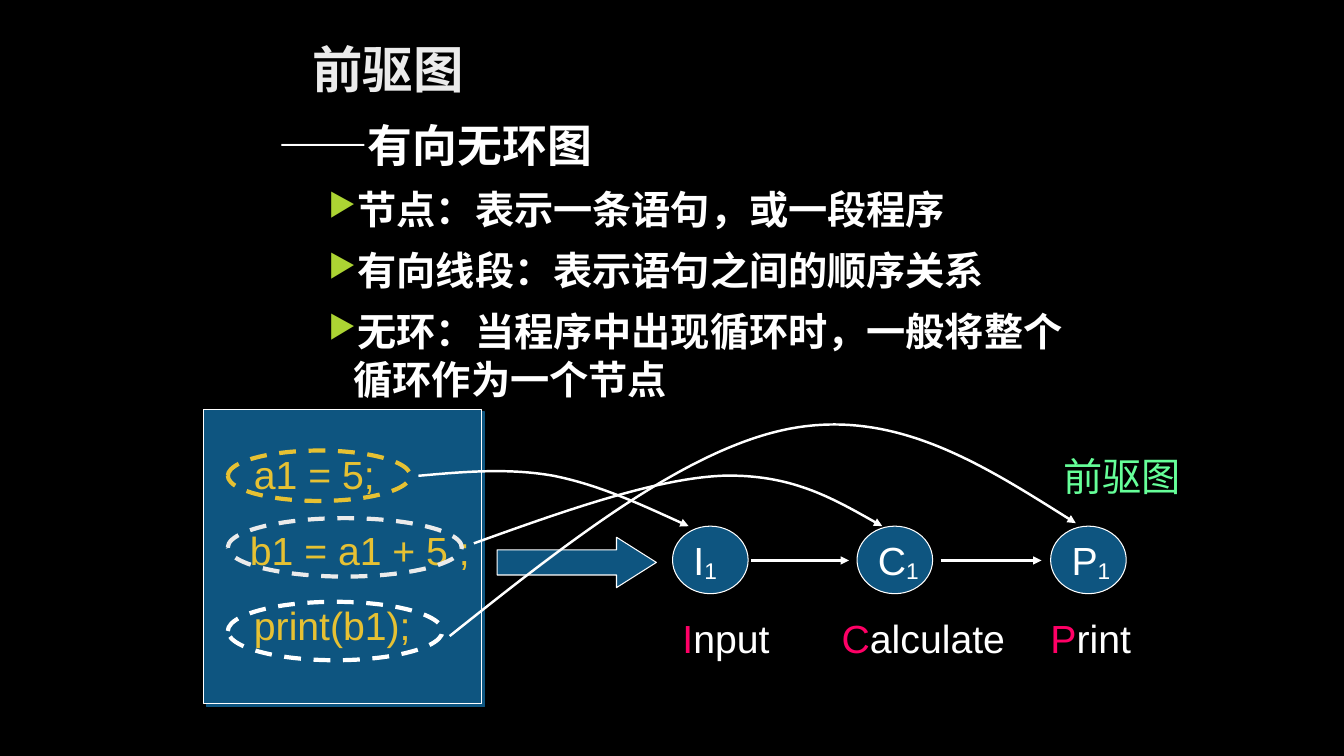
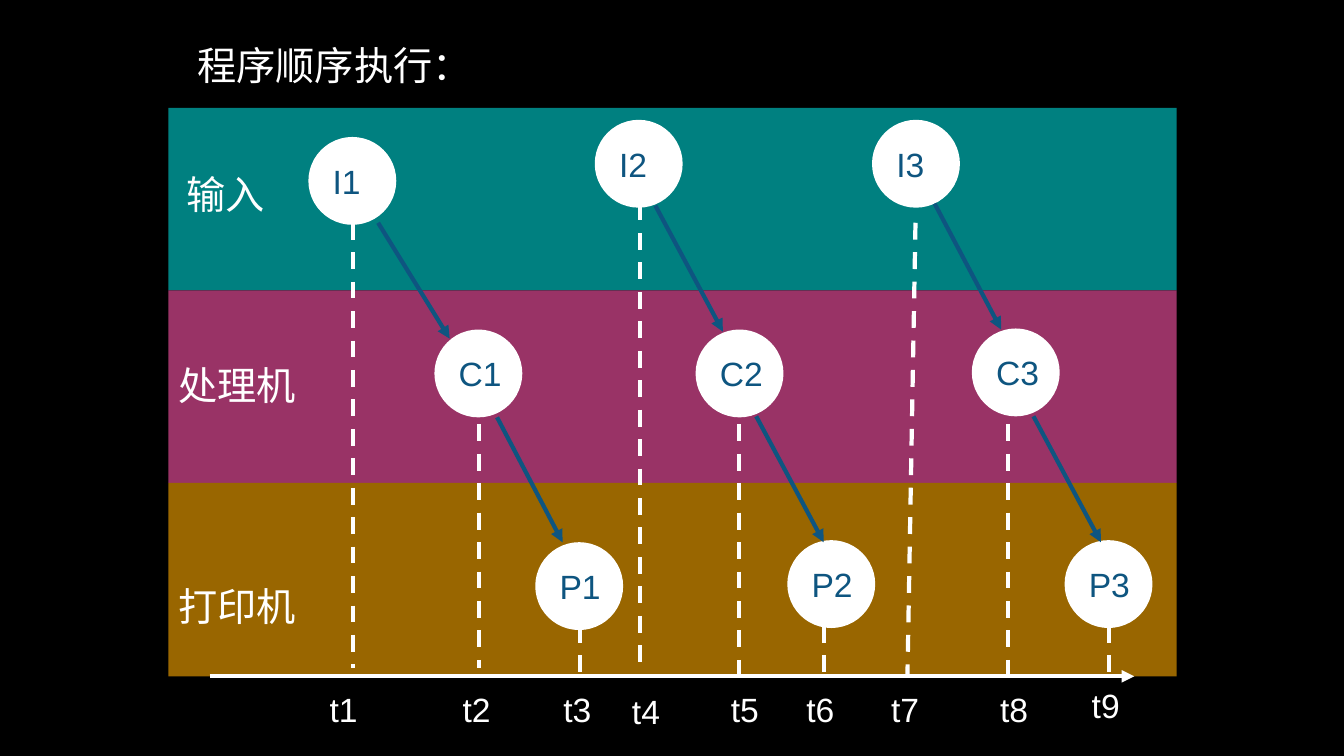
"""Build two slides on precedence graphs and sequential program execution."""
from dataclasses import dataclass

from lxml.etree import SubElement
from pptx import Presentation
from pptx.dml.color import RGBColor
from pptx.enum.dml import MSO_LINE
from pptx.enum.lang import MSO_LANGUAGE_ID
from pptx.enum.shapes import MSO_CONNECTOR, MSO_SHAPE
from pptx.enum.text import MSO_ANCHOR, MSO_AUTO_SIZE, PP_ALIGN
from pptx.oxml.ns import qn
from pptx.util import Inches, Pt


@dataclass(frozen=True)
class Theme:
    black: str = "000000"
    white: str = "FFFFFF"
    pale: str = "EBEBEB"
    blue: str = "0E5580"
    gold: str = "E6C133"
    pink: str = "FF0066"
    mint: str = "66FF99"
    lime: str = "ACD433"
    teal: str = "008080"
    plum: str = "993366"
    brown: str = "996600"
    heading_font: str = "League Spartan"
    body_font: str = "Arial"
    title: int = 36
    subtitle: int = 32
    body: int = 28
    small: int = 24
    thin: float = 0.75
    medium: float = 1.75
    thick: float = 3


T = Theme()


def write(tf, text, size=T.body, color=T.white, font=T.body_font, bold=False,
          wrap=False, grow=True, anchor=MSO_ANCHOR.TOP, subscript=False):
    """Add a run to the last paragraph of a text frame."""
    tf.word_wrap = wrap
    tf.auto_size = MSO_AUTO_SIZE.SHAPE_TO_FIT_TEXT if grow else MSO_AUTO_SIZE.NONE
    tf.vertical_anchor = anchor
    p = tf.paragraphs[-1]
    p.alignment = PP_ALIGN.LEFT
    r = p.add_run()
    r.text = text
    r.font.size = Pt(size)
    r.font.name = font
    r.font.bold = bold
    r.font.color.rgb = RGBColor.from_string(color)
    r.font.language_id = MSO_LANGUAGE_ID.SIMPLIFIED_CHINESE
    if subscript:
        r._r.get_or_add_rPr().set("baseline", "-10000")
    return p


def stroke(sp, color=T.white, width=T.thin, dash=False, arrow=False):
    """Style an outline or a line and clear its shadow."""
    sp.line.color.rgb = RGBColor.from_string(color)
    sp.line.width = Pt(width)
    if dash:
        sp.line.dash_style = MSO_LINE.DASH
    if arrow:
        SubElement(sp.line._get_or_add_ln(), qn("a:tailEnd"), type="triangle")
    return SubElement(sp._element.spPr, qn("a:effectLst"))


prs = Presentation()
prs.slide_width, prs.slide_height = Inches(13.33), Inches(7.5)
graph, timeline = [prs.slides.add_slide(prs.slide_layouts[6]) for _ in range(2)]
for s in (graph, timeline):
    s.background.fill.solid()
    s.background.fill.fore_color.rgb = RGBColor.from_string(T.black)

s = graph
tf = s.shapes.add_textbox(Inches(3), Inches(0.33), Inches(5.16), Inches(0.81)).text_frame
write(tf, "前驱图", T.title, T.pale, T.heading_font, True, wrap=True, grow=False)

tf = s.shapes.add_textbox(Inches(2.16), Inches(1.12), Inches(8.83), Inches(2.76)).text_frame
p = write(tf, "——有向无环图", T.subtitle, font=T.heading_font, bold=True, wrap=True, grow=False)
p.space_before = Pt(10)
p._p.get_or_add_pPr().set("marL", str(Inches(0.5)))
for text in ("节点：表示一条语句，或一段程序",
             "有向线段：表示语句之间的顺序关系",
             "无环：当程序中出现循环时，一般将整个循环作为一个节点"):
    tf.add_paragraph()
    p = write(tf, text, font=T.heading_font, bold=True, wrap=True, grow=False)
    p.space_before = Pt(10)
    pPr = p._p.get_or_add_pPr()
    pPr.set("marL", str(Inches(1.25)))
    pPr.set("indent", str(Inches(-0.25)))
    SubElement(SubElement(pPr, qn("a:buClr")), qn("a:srgbClr"), val=T.lime)
    SubElement(pPr, qn("a:buSzPct"), val="80000")
    SubElement(pPr, qn("a:buChar"), char="▶")

panel = s.shapes.add_shape(MSO_SHAPE.RECTANGLE, Inches(2.02), Inches(4.06), Inches(2.76), Inches(2.92))
panel.fill.solid()
panel.fill.fore_color.rgb = RGBColor.from_string(T.blue)
shadow = SubElement(stroke(panel), qn("a:outerShdw"), dist=str(Pt(2.8)), dir="2700000",
                    algn="ctr", rotWithShape="0")
SubElement(shadow, qn("a:srgbClr"), val=T.blue)

for text, x, y, w, ring_y, ring_w, ring_h, color in (
        ("a1 = 5;", 2.42, 4.42, 1.43, 4.47, 1.81, 0.5, T.gold),
        ("b1 = a1 + 5 ;", 2.38, 5.17, 2.43, 5.14, 2.32, 0.58, T.pale),
        ("print(b1);", 2.42, 5.92, 1.91, 5.97, 2.13, 0.58, T.white)):
    tb = s.shapes.add_textbox(Inches(x), Inches(y), Inches(w), Inches(0.57))
    write(tb.text_frame, text, color=T.gold)
    ring = s.shapes.add_shape(MSO_SHAPE.OVAL, Inches(2.26), Inches(ring_y), Inches(ring_w), Inches(ring_h))
    ring.fill.background()
    stroke(ring, color, T.thick, dash=True)

block = s.shapes.add_shape(MSO_SHAPE.RIGHT_ARROW, Inches(4.93), Inches(5.33), Inches(1.58), Inches(0.5))
block.adjustments[0], block.adjustments[1] = 0.5, 0.79
block.fill.solid()
block.fill.fore_color.rgb = RGBColor.from_string(T.blue)
stroke(block)

for initial, rest, x, label_x, label_w in (("I", "nput", 6.67, 6.67, 1.15),
                                           ("C", "alculate", 8.5, 8.25, 1.93),
                                           ("P", "rint", 10.42, 10.32, 1.09)):
    node = s.shapes.add_shape(MSO_SHAPE.OVAL, Inches(x), Inches(5.22), Inches(0.75), Inches(0.67))
    node.fill.solid()
    node.fill.fore_color.rgb = RGBColor.from_string(T.blue)
    stroke(node)
    write(node.text_frame, initial, grow=False, anchor=MSO_ANCHOR.MIDDLE)
    write(node.text_frame, "1", grow=False, anchor=MSO_ANCHOR.MIDDLE, subscript=True)
    tf = s.shapes.add_textbox(Inches(label_x), Inches(6.05), Inches(label_w), Inches(0.57)).text_frame
    write(tf, initial, color=T.pink)
    write(tf, rest)

for x1, x2 in ((7.45, 8.42), (9.33, 10.33)):
    cx = s.shapes.add_connector(MSO_CONNECTOR.STRAIGHT, Inches(x1), Inches(5.56), Inches(x2), Inches(5.56))
    stroke(cx, width=T.medium, arrow=True)

for start, *points in (
        ((4.15, 4.72), (4.6, 4.68), (5.04, 4.64), (5.49, 4.72), (5.94, 4.81), (6.39, 5.02), (6.83, 5.22)),
        ((4.7, 5.39), (5.59, 5.07), (6.49, 4.75), (7.16, 4.72), (7.84, 4.7), (8.29, 4.96), (8.75, 5.22)),
        ((4.46, 6.31), (5.64, 5.37), (6.82, 4.44), (7.85, 4.25), (8.89, 4.06), (9.78, 4.63), (10.67, 5.19))):
    builder = s.shapes.build_freeform(Inches(start[0]), Inches(start[1]))
    builder.add_line_segments([(Inches(x), Inches(y)) for x, y in points], close=False)
    curve = builder.convert_to_shape()
    segments = list(curve._element.iter(qn("a:lnTo")))
    for i in range(0, len(segments), 3):
        bezier = SubElement(segments[i].getparent(), qn("a:cubicBezTo"))
        for segment in segments[i:i + 3]:
            bezier.append(segment[0])
            segment.getparent().remove(segment)
    curve.fill.background()
    stroke(curve, width=T.medium, arrow=True)

tb = s.shapes.add_textbox(Inches(10.45), Inches(4.44), Inches(1.41), Inches(0.57))
write(tb.text_frame, "前驱图", color=T.mint, wrap=True)

s = timeline
tb = s.shapes.add_textbox(Inches(1.86), Inches(0.36), Inches(3.39), Inches(0.57))
write(tb.text_frame, "程序顺序执行：", wrap=True)

for text, color, top, bottom, x, y, w in (("输入", T.teal, 1.07, 2.88, 1.75, 1.64, 1.09),
                                          ("处理机", T.plum, 2.88, 4.79, 1.67, 3.53, 1.42),
                                          ("打印机", T.brown, 4.79, 6.71, 1.67, 5.73, 1.42)):
    band = s.shapes.add_shape(MSO_SHAPE.RECTANGLE, Inches(1.67), Inches(top), Inches(10), Inches(bottom - top))
    band.fill.solid()
    band.fill.fore_color.rgb = RGBColor.from_string(color)
    band.line.fill.background()
    band.shadow.inherit = False
    tb = s.shapes.add_textbox(Inches(x), Inches(y), Inches(w), Inches(0.57))
    write(tb.text_frame, text, wrap=True, anchor=MSO_ANCHOR.MIDDLE)

axis = s.shapes.add_connector(MSO_CONNECTOR.STRAIGHT, Inches(2.08), Inches(6.71), Inches(11.25), Inches(6.71))
stroke(axis, width=T.thick, arrow=True)

for job, places in enumerate((((3.08, 1.38), (4.33, 3.29), (5.33, 5.4)),
                              ((5.92, 1.21), (6.92, 3.29), (7.83, 5.38)),
                              ((8.67, 1.21), (9.66, 3.28), (10.58, 5.38))), 1):
    for stage, (x, y) in zip("ICP", places):
        node = s.shapes.add_shape(MSO_SHAPE.OVAL, Inches(x), Inches(y), Inches(0.83), Inches(0.83))
        node.fill.solid()
        node.fill.fore_color.rgb = RGBColor.from_string(T.white)
        stroke(node, width=T.thick)
        write(node.text_frame, f"{stage}{job}", T.small, T.blue, grow=False, anchor=MSO_ANCHOR.MIDDLE)

for x1, y1, x2, y2 in ((3.75, 2.21, 4.46, 3.36), (4.93, 4.14, 5.58, 5.38),
                       (6.5, 2.04, 7.17, 3.29), (7.5, 4.13, 8.17, 5.38),
                       (9.27, 2.02, 9.93, 3.27), (10.25, 4.13, 10.92, 5.38)):
    cx = s.shapes.add_connector(MSO_CONNECTOR.STRAIGHT, Inches(x1), Inches(y1), Inches(x2), Inches(y2))
    stroke(cx, T.blue, T.thick, arrow=True)

for i, (x1, y1, x2, y2, label_x, label_y) in enumerate((
        (3.5, 2.21, 3.5, 6.63, 3.17, 6.79), (4.75, 4.21, 4.75, 6.63, 4.49, 6.79),
        (5.75, 6.21, 5.75, 6.71, 5.49, 6.79), (6.35, 2.02, 6.35, 6.68, 6.17, 6.81),
        (7.33, 4.21, 7.33, 6.71, 7.15, 6.79), (8.17, 6.21, 8.17, 6.71, 7.9, 6.79),
        (9.08, 2.21, 9, 6.71, 8.74, 6.79), (10, 4.21, 10, 6.71, 9.82, 6.79),
        (11, 6.21, 11, 6.71, 10.73, 6.75)), 1):
    cx = s.shapes.add_connector(MSO_CONNECTOR.STRAIGHT, Inches(x1), Inches(y1), Inches(x2), Inches(y2))
    stroke(cx, width=T.thick, dash=True)
    tb = s.shapes.add_textbox(Inches(label_x), Inches(label_y), Inches(0.5), Inches(0.5))
    write(tb.text_frame, f"t{i}", T.small)

prs.save("out.pptx")
